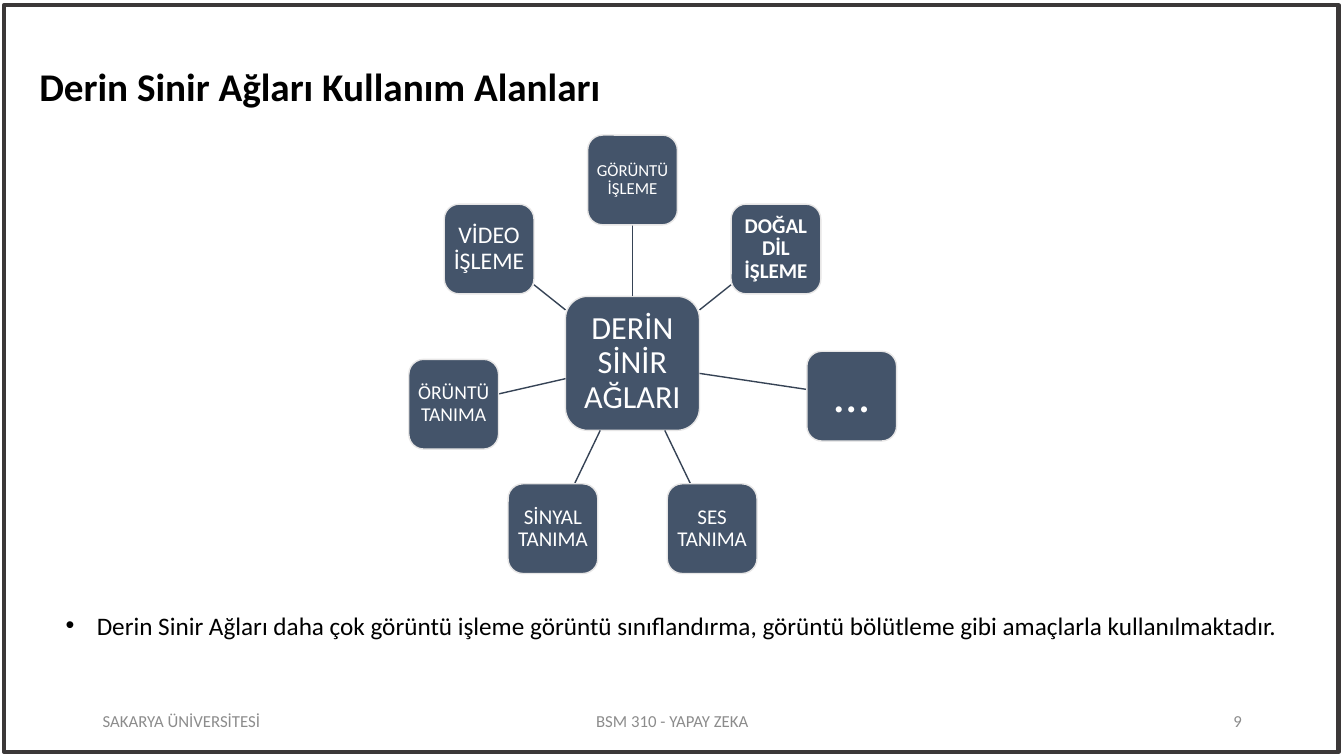
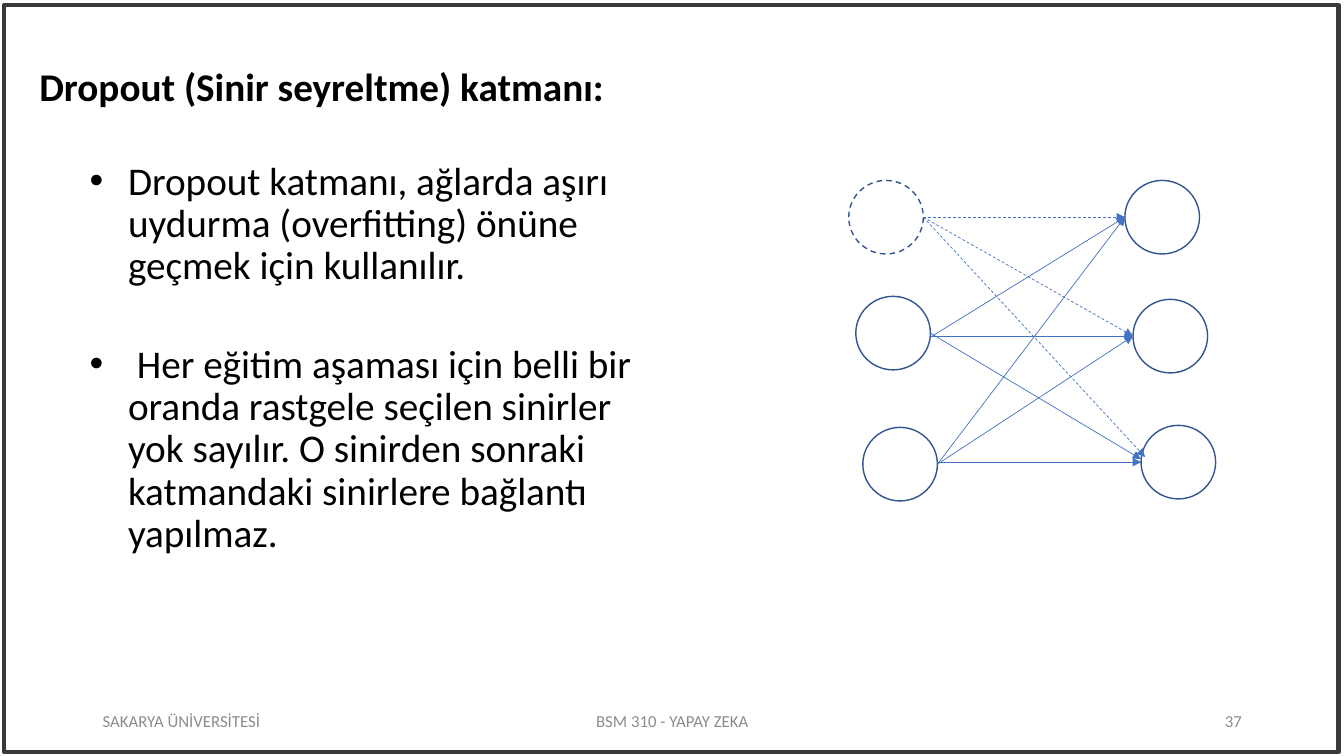
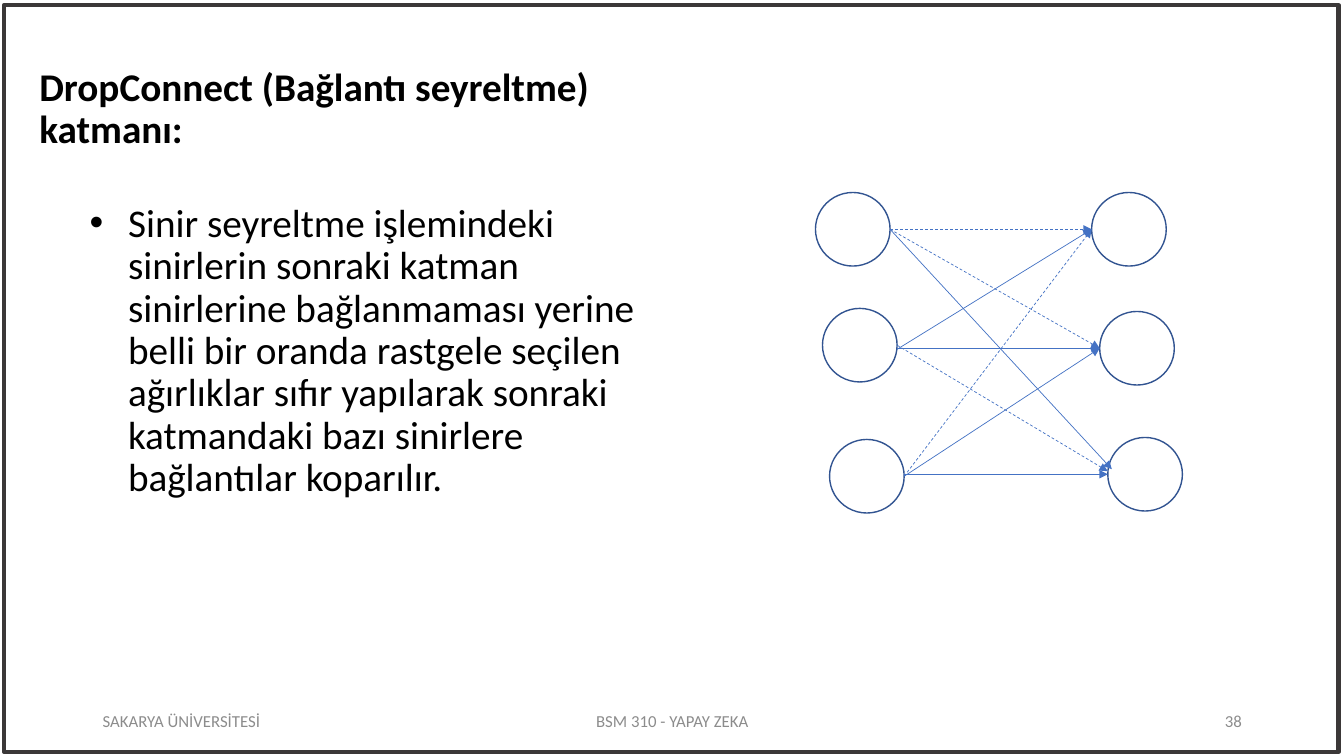
import math
from dataclasses import dataclass

import lxml.etree
import pptx
import pptx.dml.color
import pptx.enum.dml
import pptx.enum.shapes
import pptx.enum.text
import pptx.oxml.ns
import pptx.util

ALIGN = pptx.enum.text.PP_ALIGN
ANCHOR = pptx.enum.text.MSO_ANCHOR
SHAPE = pptx.enum.shapes.MSO_SHAPE


@dataclass(frozen=True)
class Theme:
    font: str = "Calibri"
    ink: str = "000000"
    frame: str = "3B3838"
    muted: str = "8C8C8C"
    node: str = "44546A"
    node_edge: str = "E7E6E6"
    node_text: str = "FFFFFF"
    spoke: str = "364355"
    neuron: str = "325491"
    link: str = "4472C4"
    heading_size: int = 28
    list_size: int = 28
    note_size: int = 18
    footer_size: int = 12
    cell: float = 0.1  # square grid cell, in inches
    columns: float = 133.33
    rows: float = 75


def grid(cells):
    return pptx.util.Inches(cells * Theme.cell)


def rgb(colour):
    return pptx.dml.color.RGBColor.from_string(colour)


def add_child(parent, tag, **attributes):
    return lxml.etree.SubElement(parent, pptx.oxml.ns.qn(tag), attributes)


class Deck:
    """Holds the style and the current slide; all lengths are grid cells."""

    def __init__(self, theme):
        self.theme = theme
        self.presentation = pptx.Presentation()
        self.presentation.slide_width = grid(theme.columns)
        self.presentation.slide_height = grid(theme.rows)
        self.slide = None

    # Shared parts of every slide
    def new_slide(self, heading, number):
        theme = self.theme
        self.slide = self.presentation.slides.add_slide(self.presentation.slide_layouts[1])
        self.shape(SHAPE.RECTANGLE, 0.4, 0.5, 132.4, 74.1, theme.frame, 3)
        title = self.slide.shapes.title
        self.place(title, 2.9, 6.2, 64.7, 9.5)
        self.prepare(title.text_frame, ANCHOR.TOP)
        self.add_text(title.text_frame.paragraphs[0], heading, theme.heading_size,
                      theme.ink, bold=True, spacing=0.9)
        footers = (("SAKARYA ÜNİVERSİTESİ", 9.2, 30, ALIGN.LEFT),
                   ("BSM 310 - YAPAY ZEKA", 44.2, 45, ALIGN.CENTER),
                   (str(number), 94.2, 30, ALIGN.RIGHT))
        for text, left, width, align in footers:
            box = self.slide.shapes.add_textbox(grid(left), grid(69.5), grid(width), grid(4))
            self.prepare(box.text_frame, ANCHOR.MIDDLE)
            self.add_text(box.text_frame.paragraphs[0], text, theme.footer_size,
                          theme.muted, align)

    # Text
    def place(self, shape, left, top, width, height):
        shape.left, shape.top = grid(left), grid(top)
        shape.width, shape.height = grid(width), grid(height)

    def prepare(self, frame, anchor, inset=None):
        frame.word_wrap = True
        frame.auto_size = pptx.enum.text.MSO_AUTO_SIZE.NONE
        frame.vertical_anchor = anchor
        if inset is not None:
            frame.margin_left = frame.margin_right = grid(inset)
            frame.margin_top = frame.margin_bottom = grid(inset)

    def add_text(self, paragraph, text, size, colour, align=ALIGN.LEFT, bold=False,
                 spacing=1.0, before=0):
        paragraph.alignment = align
        paragraph.line_spacing = spacing
        paragraph.space_before = pptx.util.Pt(before)
        run = paragraph.add_run()
        run.text = text
        run.font.name = self.theme.font
        run.font.size = pptx.util.Pt(size)
        run.font.bold = bold
        run.font.color.rgb = rgb(colour)

    def bullets(self, items, left, top, width, height, size, indent, spacing=0.9, gap=40):
        body = self.slide.placeholders[1]
        self.place(body, left, top, width, height)
        frame = body.text_frame
        self.prepare(frame, ANCHOR.TOP)
        for index, text in enumerate(items):
            paragraph = frame.add_paragraph() if index else frame.paragraphs[0]
            self.add_text(paragraph, text, size, self.theme.ink, spacing=spacing,
                          before=gap if index else 0)
            properties = paragraph._p.get_or_add_pPr()
            properties.set("marL", str(grid(indent)))
            properties.set("indent", str(-grid(indent)))
            add_child(properties, "a:buFont", typeface="Arial")
            add_child(properties, "a:buChar", char="•")

    # Shapes and lines
    def stroke(self, line, colour, width, dashed):
        line.color.rgb = rgb(colour)
        line.width = pptx.util.Pt(width)
        if dashed:
            line.dash_style = pptx.enum.dml.MSO_LINE.DASH

    def shape(self, kind, left, top, width, height, edge, line_width=1, fill=None,
              dashed=False):
        shape = self.slide.shapes.add_shape(kind, grid(left), grid(top),
                                            grid(width), grid(height))
        shape.shadow.inherit = False
        if fill:
            shape.fill.solid()
            shape.fill.fore_color.rgb = rgb(fill)
        else:
            shape.fill.background()
        self.stroke(shape.line, edge, line_width, dashed)
        return shape

    def line(self, start, end, colour, width, dashed=False, arrow=False):
        connector = self.slide.shapes.add_connector(
            pptx.enum.shapes.MSO_CONNECTOR.STRAIGHT,
            grid(start[0]), grid(start[1]), grid(end[0]), grid(end[1]))
        self.stroke(connector.line, colour, width, dashed)
        properties = connector._element.spPr
        if arrow:
            add_child(properties.find(pptx.oxml.ns.qn("a:ln")), "a:tailEnd", type="triangle")
        add_child(properties, "a:effectLst")

    def node(self, centre, side, text, size, inset, bold=False):
        theme = self.theme
        shape = self.shape(SHAPE.ROUNDED_RECTANGLE, centre[0] - side / 2,
                           centre[1] - side / 2, side, side, theme.node_edge,
                           fill=theme.node)
        self.prepare(shape.text_frame, ANCHOR.MIDDLE, inset)
        self.add_text(shape.text_frame.paragraphs[0], text, size, theme.node_text,
                      ALIGN.CENTER, bold, 0.9)

    # Hub with nodes at equal angles, clockwise from the top
    def wheel(self, hub, hub_text, topics):
        hub_side, node_side, radius = 13.3, 8.9, 18.2
        self.node(hub, hub_side, hub_text, 23, 0.6)
        for index, (text, size, bold, shift) in enumerate(topics):
            angle = math.tau * index / len(topics)
            across = radius * math.sin(angle) + shift[0]
            down = shift[1] - radius * math.cos(angle)
            reach = max(abs(across), abs(down))
            spoke_ends = [(hub[0] + across * share, hub[1] + down * share)
                          for share in (hub_side / 2 / reach, 1 - node_side / 2 / reach)]
            self.line(*spoke_ends, self.theme.spoke, 1)
            self.node((hub[0] + across, hub[1] + down), node_side, text, size, 0.4, bold)

    # Two layers of three neurons, every one linked to the whole next layer
    def network(self, left, top, dashed_links, dashed_neurons=()):
        width, height = 7.4, 7.3
        sources = [(left + 0.7 * row, top + drop) for row, drop in enumerate((0, 11.5, 24.5))]
        targets = [(left + 27.4 + 0.8 * row, top + drop)
                   for row, drop in enumerate((0, 11.8, 24.3))]
        for index, (x, y) in enumerate(sources + targets):
            self.shape(SHAPE.OVAL, x, y, width, height, self.theme.neuron,
                       dashed=index in dashed_neurons)
        # Small shifts of start y, end x and end y keep crossing arrows apart
        shifts = {(1, 0): (0.4, 0, 0), (0, 2): (0, 0.4, -0.5), (1, 2): (0, 0, -0.3)}
        for i, source in enumerate(sources):
            for j, target in enumerate(targets):
                start_y, end_x, end_y = shifts.get((i, j), (0, 0, 0))
                level = target[1] if i == j else source[1]
                self.line((source[0] + width, level + height / 2 + start_y),
                          (target[0] + end_x, target[1] + height / 2 + end_y),
                          self.theme.link, 0.5, (i, j) in dashed_links, arrow=True)


def main():
    theme = Theme()
    deck = Deck(theme)

    # Areas of use
    deck.new_slide("Derin Sinir Ağları Kullanım Alanları", 9)
    still = (0, 0)
    deck.wheel((62.75, 36.05), "DERİN SİNİR AĞLARI", [
        ("GÖRÜNTÜ İŞLEME", 12, False, still),
        ("DOĞAL DİL İŞLEME", 15, True, still),
        ("…", 36, False, (4, -0.8)),
        ("SES TANIMA", 15, False, still),
        ("SİNYAL TANIMA", 15, False, still),
        ("ÖRÜNTÜ TANIMA", 14, False, still),
        ("VİDEO İŞLEME", 17, False, still),
    ])
    deck.bullets(["Derin Sinir Ağları daha çok görüntü işleme görüntü sınıflandırma, "
                  "görüntü bölütleme gibi amaçlarla kullanılmaktadır."],
                 5.5, 60, 126, 4, theme.note_size, 3.1, spacing=1.0)

    # Dropout
    deck.new_slide("Dropout (Sinir seyreltme) katmanı:", 37)
    deck.bullets(["Dropout katmanı, ağlarda aşırı uydurma (overfitting) önüne geçmek "
                  "için kullanılır.",
                  " Her eğitim aşaması için belli bir oranda rastgele seçilen sinirler "
                  "yok sayılır. O sinirden sonraki katmandaki sinirlere bağlantı yapılmaz."],
                 7.9, 15.5, 59.7, 42, theme.list_size, 3.8)
    deck.network(84.2, 17.9, {(0, 0), (0, 1), (0, 2)}, dashed_neurons={0})

    # DropConnect
    deck.new_slide("DropConnect (Bağlantı seyreltme) katmanı:", 38)
    deck.bullets(["Sinir seyreltme işlemindeki sinirlerin sonraki katman sinirlerine "
                  "bağlanmaması yerine belli bir oranda rastgele seçilen ağırlıklar sıfır "
                  "yapılarak sonraki katmandaki bazı sinirlere bağlantılar koparılır."],
                 7.9, 19.7, 59.7, 38, theme.list_size, 3.8)
    deck.network(80.9, 19.1, {(0, 0), (0, 1), (1, 2), (2, 0)})

    deck.presentation.save("out.pptx")


if __name__ == "__main__":
    main()
